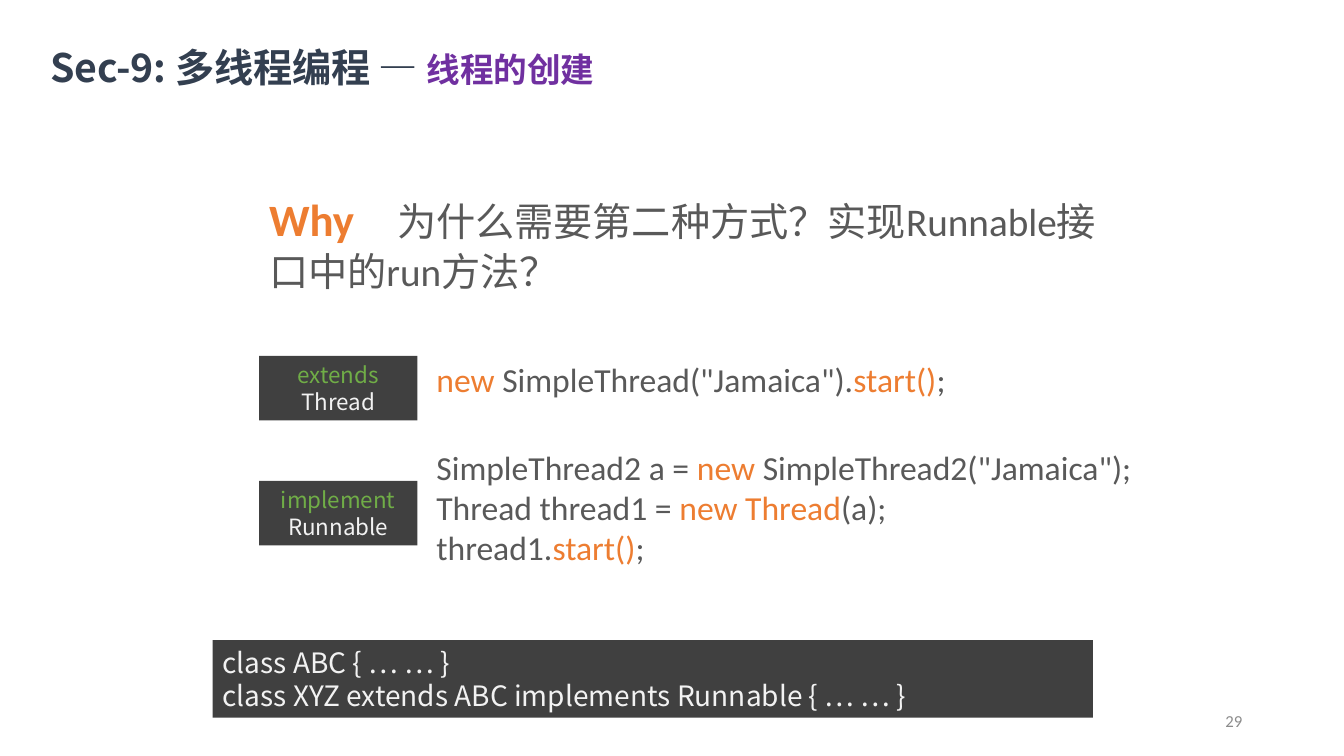
import pptx
import pptx.util
import pptx.dml.color
import pptx.enum.shapes
import pptx.enum.text
import pptx.oxml.ns
import lxml.etree

Pt = pptx.util.Pt
Anchor = pptx.enum.text.MSO_ANCHOR
Align = pptx.enum.text.PP_ALIGN

SCALE = 9144  # EMU in one px, 100 px to the inch
LATIN, HAN = "Calibri", "Noto Sans CJK SC"
COLORS = {
    "grey": "595959", "orange": "ED7D31", "dark": "404040",
    "green": "70AD47", "light": "F2F2F2", "navy": "333F50",
    "purple": "7030A0", "page": "8C8C8C",
}


def px(n):
    return pptx.util.Emu(n * SCALE)


def rgb(name):
    return pptx.dml.color.RGBColor.from_string(COLORS[name])


class Deck:
    def __init__(self, wide, high):
        self.prs = pptx.Presentation()
        self.prs.slide_width, self.prs.slide_height = px(wide), px(high)
        self.slide = self.prs.slides.add_slide(self.prs.slide_layouts[6])

    def label(self, shape, lines, size, font=LATIN, align=Align.LEFT,
              anchor=Anchor.TOP, inset=(10, 5, 10, 5), pitch=None,
              bold=False, tight=0):
        """Each line is a list of (text, colour[, size[, bold]]) runs."""
        frame = shape.text_frame
        frame.word_wrap = True
        frame.vertical_anchor = anchor
        (frame.margin_left, frame.margin_top,
         frame.margin_right, frame.margin_bottom) = map(px, inset)
        for i, line in enumerate(lines):
            para = frame.add_paragraph() if i else frame.paragraphs[0]
            para.alignment = align
            if pitch:
                para.line_spacing = Pt(pitch)
            for text, color, *rest in line:
                run = para.add_run()
                run.text = text
                run.font.size = Pt(rest[0] if rest else size)
                run.font.bold = rest[1] if len(rest) > 1 else bold
                run.font.name = font
                run.font.color.rgb = rgb(color)
                props = run.font._element
                east = lxml.etree.SubElement(props, pptx.oxml.ns.qn("a:ea"))
                east.set("typeface", HAN)
                if tight:
                    props.set("spc", str(tight))
        return frame

    def text(self, box, lines, size, **style):
        shape = self.slide.shapes.add_textbox(*map(px, box))
        return self.label(shape, lines, size, **style)

    def block(self, box, lines, size, **style):
        kind = pptx.enum.shapes.MSO_SHAPE.RECTANGLE
        shape = self.slide.shapes.add_shape(kind, *map(px, box))
        shape.shadow.inherit = False
        shape.fill.solid()
        shape.fill.fore_color.rgb = rgb("dark")
        shape.line.fill.background()
        return self.label(shape, lines, size, font=HAN, anchor=Anchor.MIDDLE,
                          pitch=size * 1.2, **style)

    def tab(self, para, stop):
        props = para._p.get_or_add_pPr()
        tabs = lxml.etree.SubElement(props, pptx.oxml.ns.qn("a:tabLst"))
        lxml.etree.SubElement(tabs, pptx.oxml.ns.qn("a:tab"),
                              pos=str(px(stop)), algn="l")

    def save(self):
        self.prs.save("out.pptx")


def main():
    deck = Deck(1333, 750)

    # Title
    deck.text((50, 42, 648, 48),
              [[("Sec-9: 多线程编程 — ", "navy"), ("线程的创建", "purple", 24)]],
              28, font=HAN, bold=True, inset=(0, 2, 0, 0), pitch=33, tight=-10)

    # Question
    ask = deck.text((257, 186, 866, 111),
                    [[("Why\t", "orange", 32, True),
                      ("为什么需要第二种方式？实现Runnable接口中的run方法？", "grey")]],
                    28, inset=(10, 9, 10, 5), pitch=35)
    deck.tab(ask.paragraphs[0], 127)

    # Ways to make a thread
    ways = [("extends", "Thread", 353), ("implement", "Runnable", 477)]
    for word, name, top in ways:
        deck.block((257, top, 157, 64),
                   [[(word, "green")], [(name, "light")]],
                   16, align=Align.CENTER)

    # Code for each way
    deck.text((423, 351, 559, 50),
              [[("new ", "orange"), ('SimpleThread("Jamaica").', "grey"),
                ("start()", "orange"), (";", "grey")]], 24)
    deck.text((423, 438, 724, 131),
              [[("SimpleThread2 a = ", "grey"), ("new", "orange"),
                (' SimpleThread2("Jamaica");', "grey")],
               [("Thread thread1 = ", "grey"), ("new Thread", "orange"),
                ("(a);", "grey")],
               [("thread1.", "grey"), ("start()", "orange"), (";", "grey")]],
              24)

    # Class example
    deck.block((211, 635, 873, 77),
               [[("class ABC { … … }", "light")],
                [("class XYZ extends ABC implements Runnable { … … }", "light")]],
               20)

    # Page number
    deck.text((942, 695, 300, 40), [[("29", "page")]], 12,
              align=Align.RIGHT, anchor=Anchor.MIDDLE)

    deck.save()


if __name__ == "__main__":
    main()
